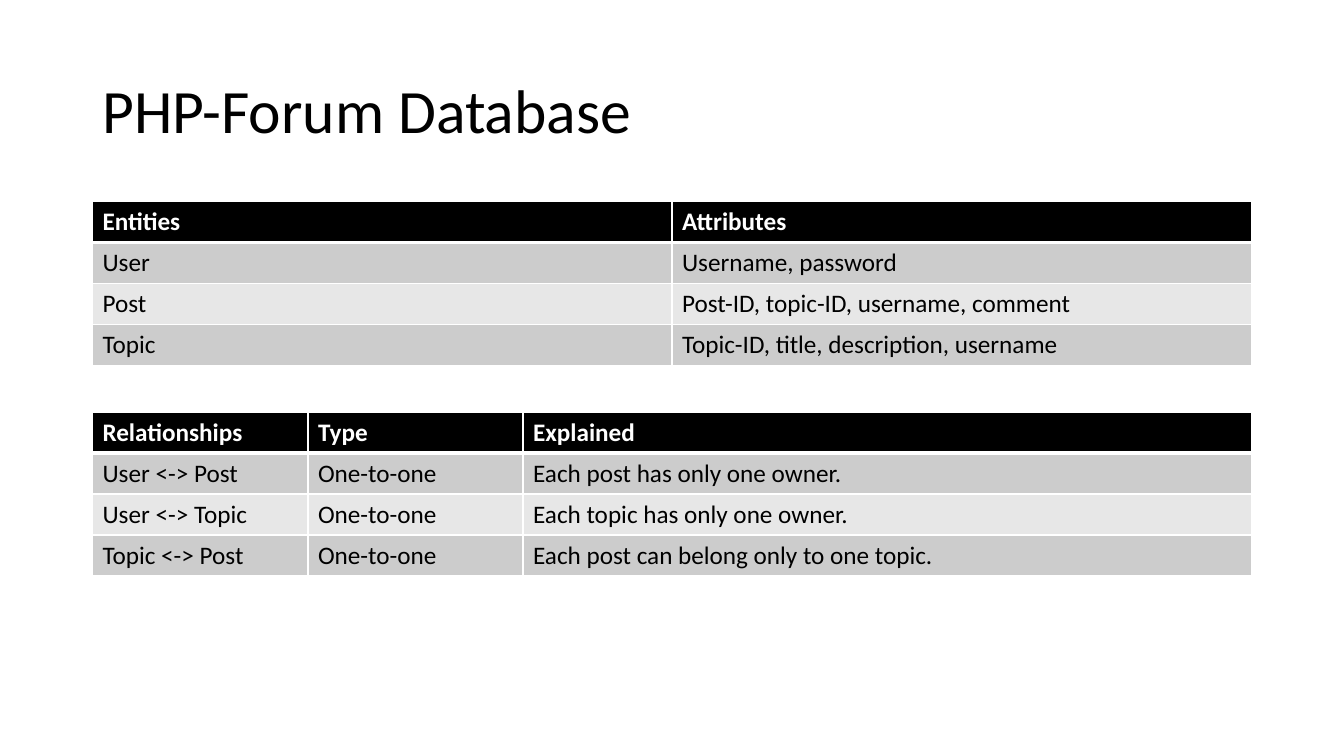
from lxml import etree
from pptx import Presentation
from pptx.dml.color import RGBColor
from pptx.enum.text import MSO_ANCHOR, MSO_AUTO_SIZE, PP_ALIGN
from pptx.oxml.ns import qn
from pptx.util import Cm, Pt

MIDDLE = MSO_ANCHOR.MIDDLE
NO_FIT = MSO_AUTO_SIZE.NONE
LEFT = PP_ALIGN.LEFT
TITLE_ONLY = 5

COLORS = {"ink": "000000", "paper": "FFFFFF", "odd": "CCCCCC", "even": "E7E7E7"}
MARGIN, WIDTH, ROW_HEIGHT = 2.33, 29.21, 1.03

ENTITIES = [
    ("Entities", "Attributes"),
    ("User", "Username, password"),
    ("Post", "Post-ID, topic-ID, username, comment"),
    ("Topic", "Topic-ID, title, description, username"),
]
RELATIONSHIPS = [
    ("Relationships", "Type", "Explained"),
    ("User <-> Post", "One-to-one", "Each post has only one owner."),
    ("User <-> Topic", "One-to-one", "Each topic has only one owner."),
    ("Topic <-> Post", "One-to-one", "Each post can belong only to one topic."),
]


class Page:
    """Holds the style and the current slide."""

    def __init__(self, deck, font):
        """Add a slide that has only a title."""
        self.slide = deck.slides.add_slide(deck.slide_layouts[TITLE_ONLY])
        self.font = font

    def add_span(self, para, text, size, color, bold=False):
        """Add one styled run to a paragraph."""
        span = para.add_run()
        span.text = text
        span.font.name = self.font
        span.font.size = Pt(size)
        span.font.bold = bold
        span.font.color.rgb = RGBColor.from_string(COLORS[color])

    def title(self, text, top, height):
        """Place and fill the title placeholder."""
        box = self.slide.shapes.title
        box.left, box.top = Cm(MARGIN), Cm(top)
        box.width, box.height = Cm(WIDTH), Cm(height)
        frame = box.text_frame
        frame.vertical_anchor = MIDDLE
        frame.auto_size = NO_FIT
        frame.word_wrap = True
        para = frame.paragraphs[0]
        para.alignment = LEFT
        para.line_spacing = 0.9
        self.add_span(para, text, 44, "ink")

    def borders(self, cell, top, bottom):
        """Draw the four white cell borders, widths in points."""
        props = cell._tc.get_or_add_tcPr()
        widths = {"a:lnL": 1, "a:lnR": 1, "a:lnT": top, "a:lnB": bottom}
        for place, (tag, width) in enumerate(widths.items()):
            line = etree.Element(qn(tag), w=str(Pt(width)))
            fill = etree.SubElement(line, qn("a:solidFill"))
            etree.SubElement(fill, qn("a:srgbClr"), val=COLORS["paper"])
            props.insert(place, line)

    def table(self, rows, top, widths):
        """Add a table with a black header and banded rows."""
        frame = self.slide.shapes.add_table(
            len(rows), len(widths), Cm(MARGIN), Cm(top),
            Cm(WIDTH), Cm(ROW_HEIGHT * len(rows)))
        table = frame.table
        for column, width in zip(table.columns, widths):
            column.width = Cm(width)
        for r, texts in enumerate(rows):
            table.rows[r].height = Cm(ROW_HEIGHT)
            header = r == 0
            band = "ink" if header else "odd" if r % 2 else "even"
            for c, text in enumerate(texts):
                cell = table.cell(r, c)
                cell.fill.solid()
                cell.fill.fore_color.rgb = RGBColor.from_string(COLORS[band])
                self.borders(cell, 3 if r == 1 else 1, 3 if header else 1)
                self.add_span(cell.text_frame.paragraphs[0], text, 18,
                              "paper" if header else "ink", header)


def main():
    """Build the database slide and save it."""
    deck = Presentation()
    deck.slide_width, deck.slide_height = Cm(33.87), Cm(19.05)
    page = Page(deck, "Calibri")
    page.title("PHP-Forum Database", 1.02, 3.68)
    page.table(ENTITIES, 5.08, [WIDTH / 2] * 2)
    page.table(RELATIONSHIPS, 10.39, [5.43, 5.42, 18.36])
    deck.save("out.pptx")


main()
